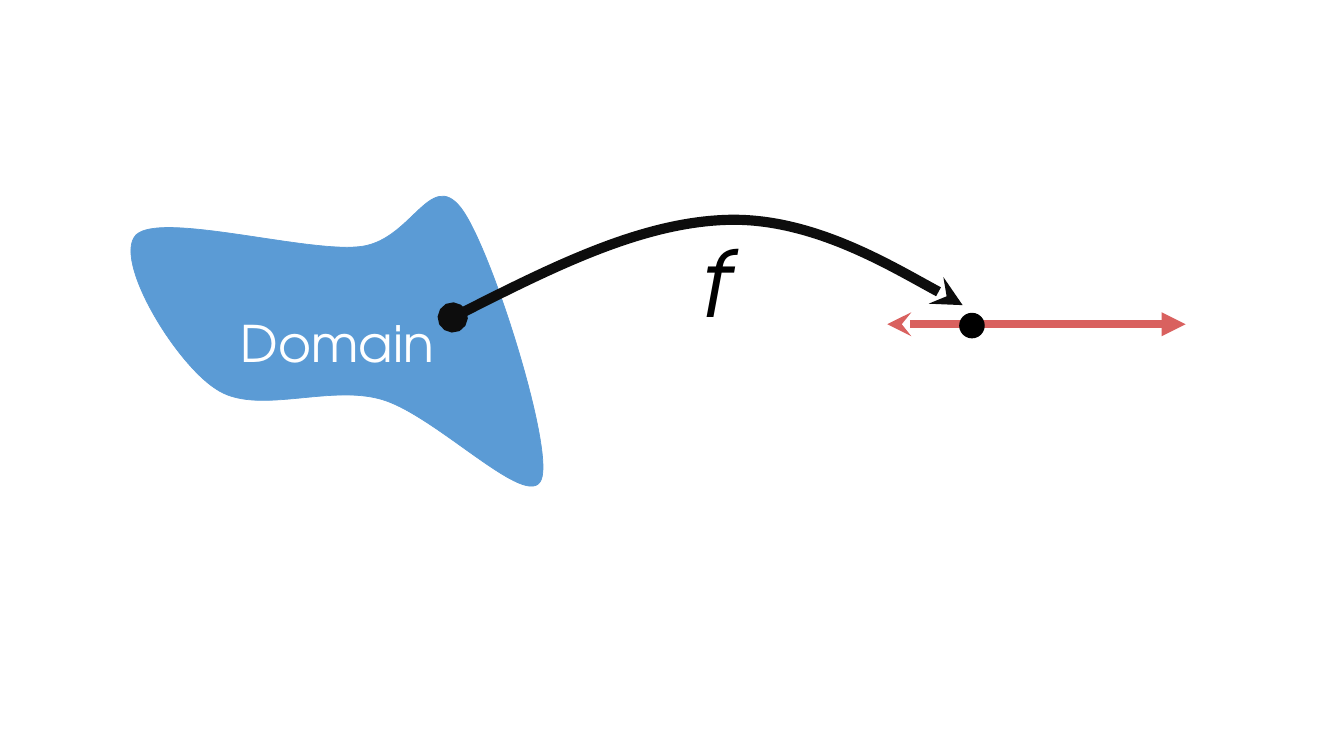
"""Draw a function f that maps a point of a domain to the real line."""
from lxml import etree
from pptx import Presentation
from pptx import util as u
from pptx.dml.color import RGBColor
from pptx.enum import shapes, text
from pptx.oxml.ns import qn

FONT = "TeX Gyre Adventor"
HUES = {"blue": "5B9BD5", "ink": "0D0D0D", "red": "D9615F", "black": "000000", "white": "FFFFFF"}
BLOB = [
    (5.44, 9.8), (4.39, 9.12), (2.84, 6.53), (3.43, 5.92),
    (4.04, 5.33), (7.65, 6.35), (9.02, 6.22),
    (10.36, 6.12), (10.82, 4.24), (11.61, 5.23),
    (12.37, 6.2), (13.97, 11.3), (13.64, 12.09),
    (13.31, 12.9), (10.97, 10.44), (9.6, 10.06),
    (8.26, 9.68), (6.45, 10.49), (5.44, 9.8),
]
BLOB_BOX = (3.31, 4.96, 10.39, 7.32)
ARC = [
    (11.41, 8), (13.82, 6.78), (16.21, 5.59), (18.37, 5.54),
    (20.52, 5.49), (24.26, 7.69), (24.26, 7.69),
]
ARC_BOX = (11.41, 5.54, 12.85, 2.46)
AXIS = (22.36, 8.17, 29.88, 8.17)
DOT = (24.19, 7.9, 0.61, 0.61)
LABEL = (17.4, 5.54, 1.24, 3.07)


def color(name):
    return RGBColor.from_string(HUES[name])


def cm(vals):
    return [u.Cm(v) for v in vals]


def curve(slide, knots, box, close):
    first, *rest = [cm(k) for k in knots]
    pen = slide.shapes.build_freeform(*first)
    pen.add_line_segments(rest, close=close)
    shape = pen.convert_to_shape()
    left, top, wide, high = cm(box)
    dx, dy = shape.left - left, shape.top - top
    track = next(shape._element.iter(qn("a:path")))
    track.set("w", str(wide))
    track.set("h", str(high))
    for pt in track.iter(qn("a:pt")):
        pt.set("x", str(int(pt.get("x")) + dx))
        pt.set("y", str(int(pt.get("y")) + dy))
    legs = track.findall(qn("a:lnTo"))
    for i in range(0, len(legs), 3):
        bend = etree.Element(qn("a:cubicBezTo"))
        legs[i].addprevious(bend)
        for leg in legs[i:i + 3]:
            bend.append(leg[0])
            track.remove(leg)
    shape.left, shape.top, shape.width, shape.height = left, top, wide, high
    return shape


def paint(shape, fill, line, width):
    shape.shadow.inherit = False
    if fill:
        shape.fill.solid()
        shape.fill.fore_color.rgb = color(fill)
    else:
        shape.fill.background()
    stroke(shape, line, width)


def stroke(shape, line, width):
    shape.line.color.rgb = color(line)
    shape.line.width = u.Pt(width)


def tips(shape, head, tail):
    ln = shape.line._get_or_add_ln()
    for tag, kind in (("a:headEnd", head), ("a:tailEnd", tail)):
        etree.SubElement(ln, qn(tag), type=kind)


def write(shape, words, size, hue, align, slant=False):
    para = shape.text_frame.paragraphs[0]
    para.alignment = align
    run = para.add_run()
    run.text = words
    run.font.name = FONT
    run.font.size = u.Pt(size)
    run.font.italic = slant
    run.font.color.rgb = color(hue)


def main():
    deck = Presentation()
    deck.slide_width, deck.slide_height = cm((33.87, 19.05))
    slide = deck.slides.add_slide(deck.slide_layouts[6])

    blob = curve(slide, BLOB, BLOB_BOX, True)
    paint(blob, "blue", "blue", 0.5)
    blob.text_frame.vertical_anchor = text.MSO_ANCHOR.MIDDLE
    write(blob, "Domain", 36, "white", text.PP_ALIGN.CENTER)

    arc = curve(slide, ARC, ARC_BOX, False)
    paint(arc, None, "ink", 7.25)
    tips(arc, "oval", "stealth")

    label = slide.shapes.add_textbox(*cm(LABEL))
    label.text_frame.word_wrap = False
    label.text_frame.auto_size = text.MSO_AUTO_SIZE.SHAPE_TO_FIT_TEXT
    write(label, "f", 66, "black", text.PP_ALIGN.LEFT, True)

    axis = slide.shapes.add_connector(shapes.MSO_CONNECTOR.STRAIGHT, *cm(AXIS))
    stroke(axis, "red", 5.75)
    tips(axis, "stealth", "triangle")
    etree.SubElement(axis._element.spPr, qn("a:effectLst"))

    dot = slide.shapes.add_shape(shapes.MSO_SHAPE.OVAL, *cm(DOT))
    paint(dot, "black", "black", 1)

    deck.save("out.pptx")


if __name__ == "__main__":
    main()
